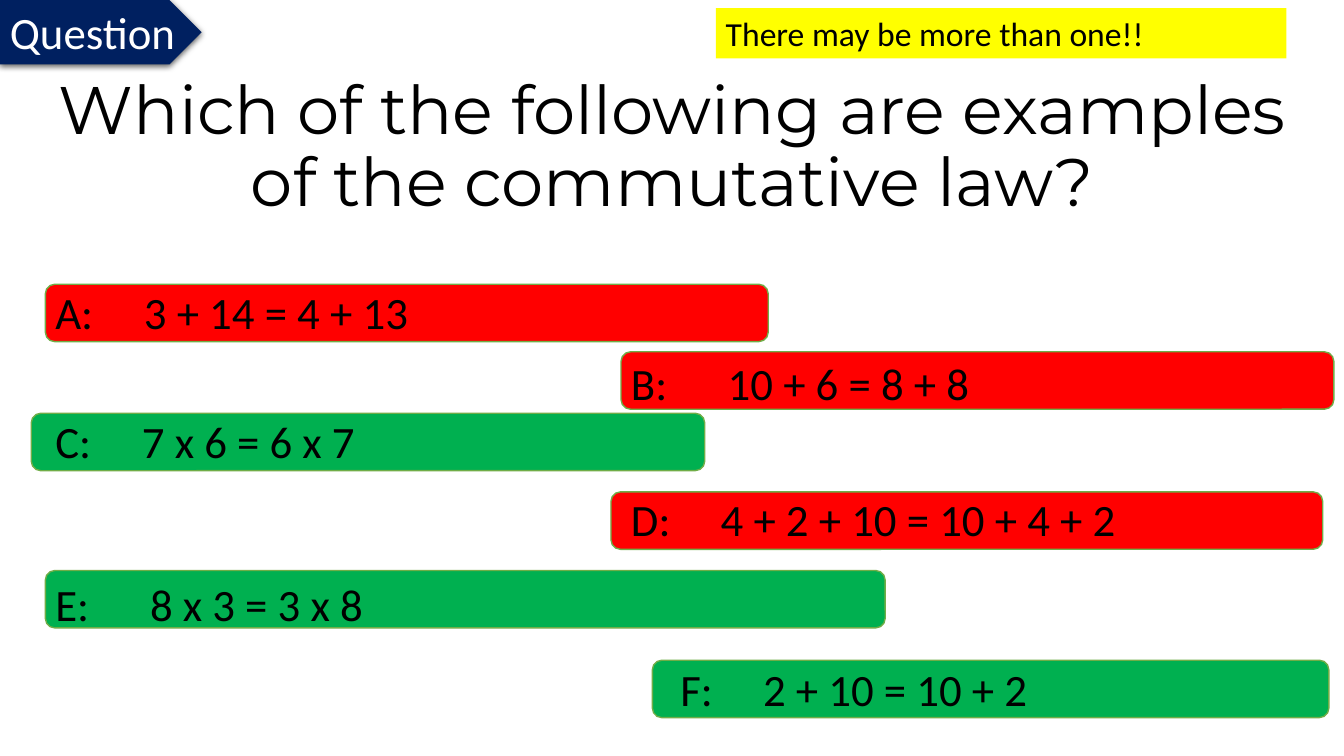
import pptx
import pptx.util
import pptx.dml.color
import pptx.enum.shapes
import pptx.enum.text
import pptx.oxml
import pptx.oxml.ns
import lxml.etree

Inches = pptx.util.Inches
Pt = pptx.util.Pt
PRESET = pptx.enum.shapes.MSO_SHAPE
ANCHOR = pptx.enum.text.MSO_ANCHOR
ALIGN = pptx.enum.text.PP_ALIGN
AUTO_SIZE = pptx.enum.text.MSO_AUTO_SIZE
qn = pptx.oxml.ns.qn

COLORS = {
    "text": "000000",
    "white": "FFFFFF",
    "navy": "002060",
    "wrong": "FF0000",
    "right": "00B050",
    "outline": "70AD47",
    "hint": "FFFF00",
}
BAR_HEIGHT = 0.57
LABEL_HEIGHT = 0.64

# letter, equation, is commutative, bar (left, top, width),
# label (left, top, width), distance from letter to equation
ANSWERS = [
    ("A:", "3 + 14 = 4 + 13", False, (0.45, 2.82, 7.17), (0.45, 2.78, 7.23), 0.88),
    ("C:", "7 x 6 = 6 x 7", True, (0.31, 4.1, 6.68), (0.45, 4.06, 8.4), 0.86),
    ("B:", "10 + 6 = 8 + 8", False, (6.16, 3.49, 7.07), (6.16, 3.48, 7.1), 0.96),
    ("D:", "4 + 2 + 10 = 10 + 4 + 2", False, (6.06, 4.88, 7.06), (6.16, 4.83, 6.54), 0.89),
    ("E:", "8 x 3 = 3 x 8", True, (0.45, 5.66, 8.33), (0.45, 5.67, 8.33), 0.94),
    ("F:", "2 + 10 = 10 + 2", True, (6.47, 6.55, 6.71), (6.65, 6.52, 6.69), 0.82),
]


def color(name):
    return pptx.dml.color.RGBColor.from_string(COLORS[name])


def add_panel(slide, preset, box, fill, outline=None):
    panel = slide.shapes.add_shape(preset, *map(Inches, box))
    panel.shadow.inherit = False
    panel.fill.solid()
    panel.fill.fore_color.rgb = color(fill)
    if outline:
        panel.line.color.rgb = color(outline)
        panel.line.width = Pt(1)
    else:
        panel.line.fill.background()
    return panel


def write(shape, text, size, ink="text", font="Calibri", align=ALIGN.LEFT,
          anchor=ANCHOR.TOP, wrap=True):
    frame = shape.text_frame
    frame.word_wrap = wrap
    frame.vertical_anchor = anchor
    paragraph = frame.paragraphs[0]
    paragraph.alignment = align
    run = paragraph.add_run()
    run.text = text
    run.font.size = Pt(size)
    run.font.name = font
    run.font.color.rgb = color(ink)
    return paragraph


def add_tab_stop(paragraph, distance):
    properties = paragraph._p.get_or_add_pPr()
    stops = lxml.etree.SubElement(properties, qn("a:tabLst"))
    lxml.etree.SubElement(stops, qn("a:tab"), pos=str(Inches(distance)), algn="l")


def add_drop_shadow(shape):
    effects = shape._element.spPr.find(qn("a:effectLst"))
    shadow = lxml.etree.SubElement(
        effects, qn("a:outerShdw"), blurRad=str(Pt(4.5)), dist=str(Pt(1.5)),
        dir="5400000", algn="ctr", rotWithShape="0")
    black = lxml.etree.SubElement(shadow, qn("a:srgbClr"), val=COLORS["text"])
    lxml.etree.SubElement(black, qn("a:alpha"), val="63000")


def add_title(slide, box):
    title = slide.shapes.title
    title.left, title.top, title.width, title.height = map(Inches, box)
    paragraph = write(title, "Which of the following are examples of the commutative law?",
                      48, font="Montserrat", align=ALIGN.CENTER, anchor=ANCHOR.MIDDLE)
    paragraph.line_spacing = 0.9
    title.text_frame.auto_size = AUTO_SIZE.NONE


def add_question_tag(slide, box):
    tag = add_panel(slide, PRESET.PENTAGON, box, "navy")
    add_drop_shadow(tag)
    write(tag, "Question", 32, ink="white", wrap=False)
    tag.text_frame.auto_size = AUTO_SIZE.SHAPE_TO_FIT_TEXT


def add_answer(slide, letter, equation, commutative, bar_box, label_box, gap):
    add_panel(slide, PRESET.ROUNDED_RECTANGLE, (*bar_box, BAR_HEIGHT),
              "right" if commutative else "wrong", "outline")
    label = slide.shapes.add_textbox(*map(Inches, (*label_box, LABEL_HEIGHT)))
    paragraph = write(label, f"{letter}\t{equation}", 32)
    add_tab_stop(paragraph, gap)
    label.text_frame.auto_size = AUTO_SIZE.SHAPE_TO_FIT_TEXT


def add_hint(slide, box):
    hint = add_panel(slide, PRESET.RECTANGLE, box, "hint")
    write(hint, "There may be more than one!!", 24)
    hint.text_frame.auto_size = AUTO_SIZE.SHAPE_TO_FIT_TEXT


def main():
    deck = pptx.Presentation()
    deck.slide_width, deck.slide_height = Inches(13.33), Inches(7.5)
    slide = deck.slides.add_slide(deck.slide_layouts.get_by_name("Title Only"))
    slide.background.fill.solid()
    slide.background.fill.fore_color.rgb = color("white")
    add_title(slide, (0.08, 0.75, 13.18, 1.45))
    add_question_tag(slide, (0, 0, 2, 0.64))
    for answer in ANSWERS:
        add_answer(slide, *answer)
    add_hint(slide, (7.1, 0.08, 5.66, 0.5))
    deck.save("out.pptx")


if __name__ == "__main__":
    main()
